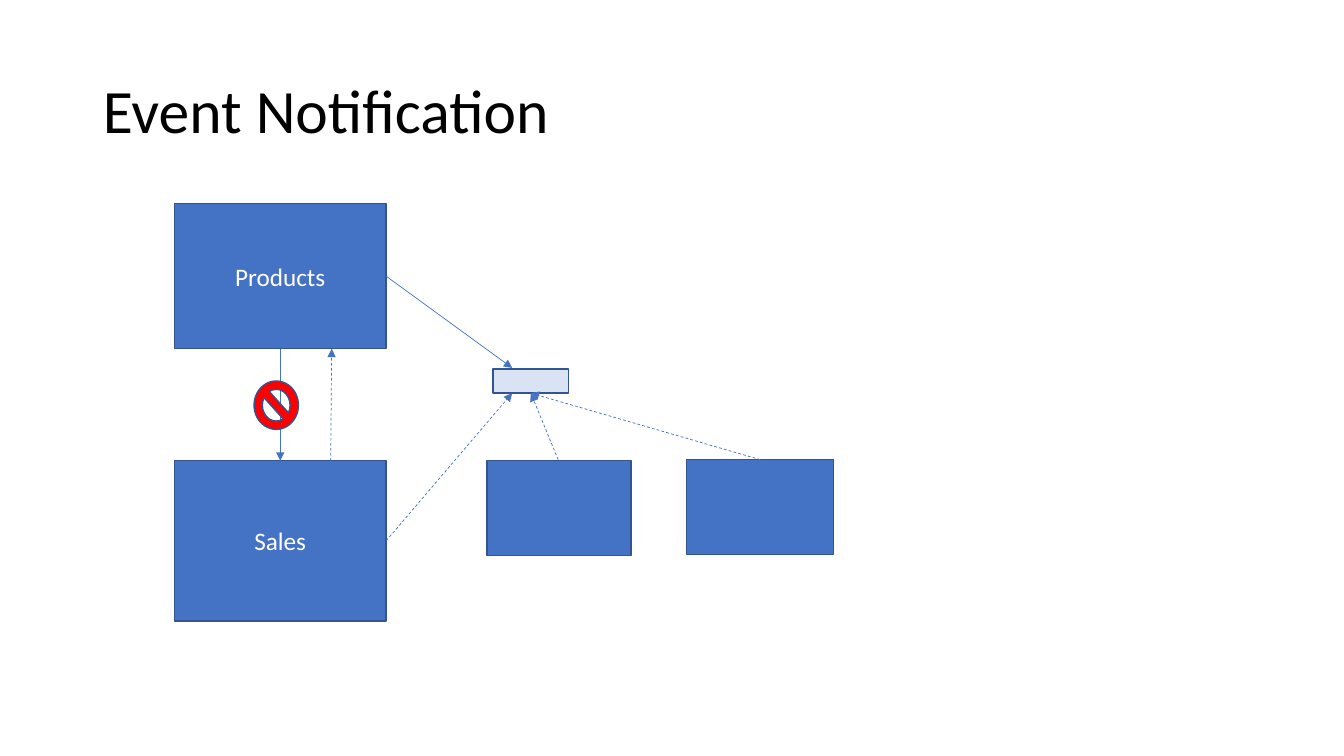
import pptx
import pptx.util
import pptx.dml.color
import pptx.enum.dml
import pptx.enum.shapes
import pptx.enum.text
import pptx.oxml
import pptx.oxml.ns

Inches = pptx.util.Inches
Pt = pptx.util.Pt
SHAPE = pptx.enum.shapes.MSO_SHAPE
ALIGN = pptx.enum.text.PP_ALIGN
TOP, BOTTOM, RIGHT = 0, 2, 3
BLUE, EDGE, PALE, RED = "4472C4", "325491", "DAE3F3", "FF0000"


def paint(fmt, hue):
    """Set a fill to a solid colour."""
    fmt.solid()
    fmt.fore_color.rgb = pptx.dml.color.RGBColor.from_string(hue)


def write(frame, text, size, hue, align):
    """Put one formatted run in the first paragraph of a frame."""
    frame.word_wrap = True
    frame.vertical_anchor = pptx.enum.text.MSO_ANCHOR.MIDDLE
    para = frame.paragraphs[0]
    para.alignment = align
    run = para.add_run()
    run.text = text
    run.font.name = "Calibri"
    run.font.size = Pt(size)
    paint(run.font.fill, hue)
    return para


def head(slide, text):
    """Place and fill the slide title."""
    title = slide.shapes.title
    title.left, title.top = Inches(0.92), Inches(0.4)
    title.width, title.height = Inches(11.5), Inches(1.45)
    para = write(title.text_frame, text, 44, "000000", ALIGN.LEFT)
    para.line_spacing = 0.9


def block(shapes, place, text="", hue=BLUE, kind=SHAPE.RECTANGLE):
    """Add an outlined shape with an optional centred label."""
    shape = shapes.add_shape(kind, *map(Inches, place))
    shape.shadow.inherit = False
    paint(shape.fill, hue)
    paint(shape.line.fill, EDGE)
    shape.line.width = Pt(1)
    if text:
        write(shape.text_frame, text, 18, "FFFFFF", ALIGN.CENTER)
    return shape


def arrow(shapes, start, end, dash=False, source=None, target=None):
    """Add an arrow, joined to (shape, side) pairs where given."""
    line = shapes.add_connector(
        pptx.enum.shapes.MSO_CONNECTOR.STRAIGHT, *map(Inches, start + end))
    if source:
        line.begin_connect(*source)
    if target:
        line.end_connect(*target)
    paint(line.line.fill, BLUE)
    line.line.width = Pt(0.5)
    if dash:
        line.line.dash_style = pptx.enum.dml.MSO_LINE.DASH
    tip = pptx.oxml.parse_xml(
        '<a:tailEnd %s type="triangle"/>' % pptx.oxml.ns.nsdecls("a"))
    line.line._get_or_add_ln().append(tip)
    line._element.spPr.append(pptx.oxml.parse_xml(
        "<a:effectLst %s/>" % pptx.oxml.ns.nsdecls("a")))


def main():
    """Build the event notification slide."""
    deck = pptx.Presentation()
    deck.slide_width, deck.slide_height = Inches(13.33), Inches(7.5)
    slide = deck.slides.add_slide(deck.slide_layouts[5])
    shapes = slide.shapes
    head(slide, "Event Notification")

    goods = block(shapes, (1.73, 2.02, 2.1, 1.44), "Products")
    sales = block(shapes, (1.73, 4.57, 2.1, 1.59), "Sales")
    arrow(shapes, (2.76, 3.46), (2.76, 4.57),
          source=(goods, BOTTOM), target=(sales, TOP))
    arrow(shapes, (3.28, 4.57), (3.29, 3.46), dash=True)
    block(shapes, (2.52, 3.78, 0.44, 0.48), hue=RED, kind=SHAPE.NO_SYMBOL)

    event = shapes.add_group_shape().shapes
    queue = block(event, (4.89, 3.66, 0.75, 0.24), hue=PALE)
    arrow(event, (3.83, 2.74), (5.08, 3.65), source=(goods, RIGHT))
    arrow(event, (3.83, 5.37), (5.08, 3.9), dash=True, source=(sales, RIGHT))

    others = shapes.add_group_shape().shapes
    block(others, (4.83, 4.57, 1.43, 0.94))
    last = block(others, (6.81, 4.56, 1.46, 0.94))
    arrow(others, (5.63, 4.79), (5.26, 3.9), dash=True, target=(queue, BOTTOM))
    arrow(others, (7.54, 4.56), (5.26, 3.9), dash=True,
          source=(last, TOP), target=(queue, BOTTOM))

    deck.save("out.pptx")


if __name__ == "__main__":
    main()
